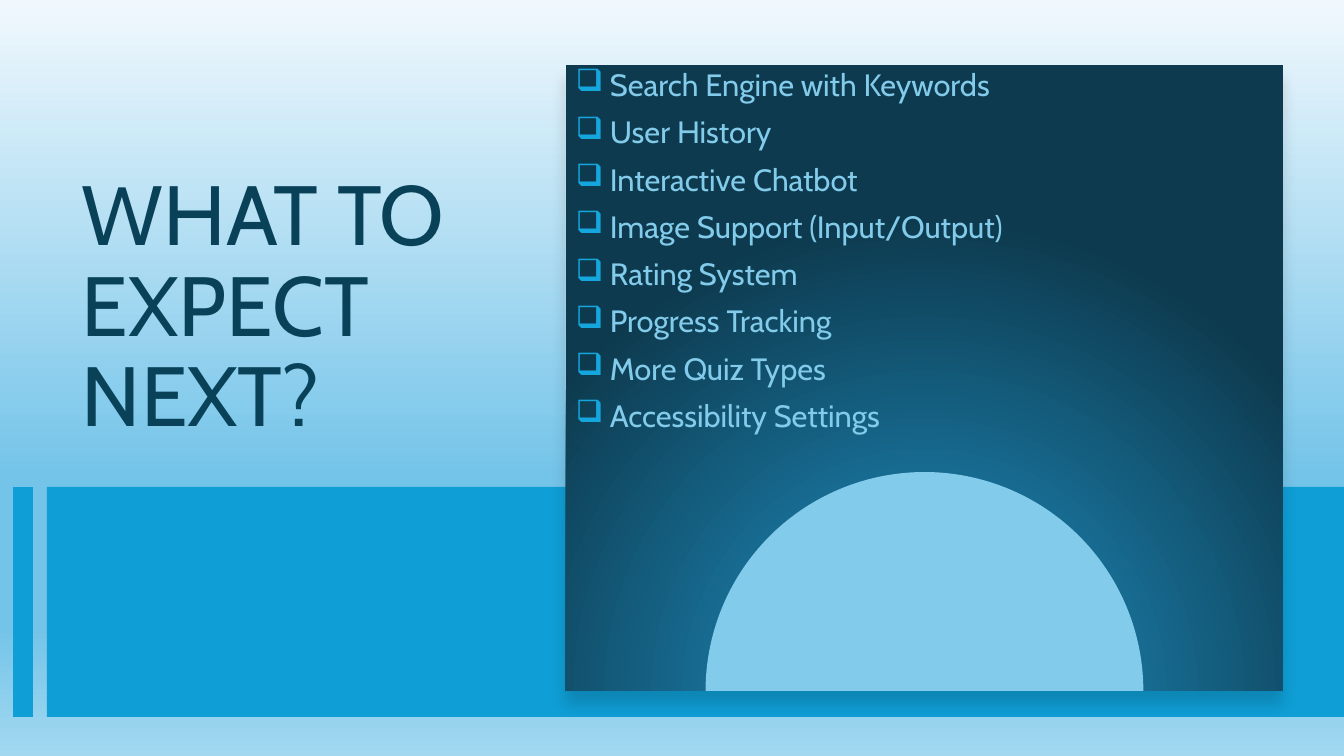
import lxml.etree
import pptx
import pptx.dml.color
import pptx.enum.shapes
import pptx.enum.text
import pptx.oxml
import pptx.oxml.ns
import pptx.util

PX = 12192000 / 1344
FONT = "Cabin"
COLORS = {
    "band": "0F9ED5",
    "title": "084158",
    "item": "83CBEB",
    "checkbox": "15A6DE",
    "panel_base": "FFFFFF",
    "shadow": "000000",
}
SKY = [(0, "F0F8FD"), (63, "74C4E9"), (83, "74C4E9"), (100, "A2D8F0")]
GLOW = [(46, "83CBEB"), (46, "176B91"), (100, "0D3A4E")]
FEATURES = [
    "Search Engine with Keywords",
    "User History",
    "Interactive Chatbot",
    "Image Support (Input/Output)",
    "Rating System",
    "Progress Tracking",
    "More Quiz Types",
    "Accessibility Settings",
]
NS = pptx.oxml.ns.nsdecls("a")
RECTANGLE = pptx.enum.shapes.MSO_SHAPE.RECTANGLE


def px(*lengths):
    return [round(length * PX) for length in lengths]


def set_gradient(fill, owner, stops, direction):
    fill.gradient()
    gradient = owner.find(".//" + pptx.oxml.ns.qn("a:gradFill"))
    stop_xml = "".join(
        f'<a:gs pos="{position * 1000}"><a:srgbClr val="{color}"/></a:gs>'
        for position, color in stops
    )
    gradient.getparent().replace(gradient, pptx.oxml.parse_xml(
        f'<a:gradFill {NS} rotWithShape="1"><a:gsLst>{stop_xml}</a:gsLst>{direction}</a:gradFill>'
    ))


rgb = {name: pptx.dml.color.RGBColor.from_string(value) for name, value in COLORS.items()}

deck = pptx.Presentation()
deck.slide_width, deck.slide_height = px(1344, 756)
slide = deck.slides.add_slide(deck.slide_layouts[6])
set_gradient(slide.background.fill, slide.background._cSld, SKY, '<a:lin ang="5400000" scaled="0"/>')

title = slide.shapes.add_textbox(*px(72, 161, 418, 296))
title.text_frame.word_wrap = True
title.text_frame.vertical_anchor = pptx.enum.text.MSO_ANCHOR.MIDDLE
heading = title.text_frame.paragraphs[0]
heading.line_spacing = 0.9
heading_run = heading.add_run()
heading_run.text = "WHAT TO EXPECT NEXT?"
heading_run.font.name = FONT
heading_run.font.size = pptx.util.Pt(60)
heading_run.font.color.rgb = rgb["title"]

band = slide.shapes.add_shape(RECTANGLE, *px(47, 487, 1297, 230))
band.shadow.inherit = False
band.fill.solid()
band.fill.fore_color.rgb = rgb["band"]
band.line.fill.background()

stripe = slide.shapes.add_connector(
    pptx.enum.shapes.MSO_CONNECTOR.STRAIGHT, *px(23, 487, 23, 717)
)
stripe.line.color.rgb = rgb["band"]
stripe.line.width = pptx.util.Pt(14)
lxml.etree.SubElement(stripe._element.spPr, pptx.oxml.ns.qn("a:effectLst"))

panel_base, panel = [
    slide.shapes.add_shape(RECTANGLE, *px(566, 65, 717, 626)) for layer in range(2)
]
for layer in (panel_base, panel):
    layer.shadow.inherit = False
    layer.line.fill.background()

panel_base.fill.solid()
panel_base.fill.fore_color.rgb = rgb["panel_base"]
panel_base._element.spPr.find(pptx.oxml.ns.qn("a:effectLst")).append(pptx.oxml.parse_xml(
    f'<a:outerShdw {NS} blurRad="{pptx.util.Pt(11)}" dist="{pptx.util.Pt(10)}" dir="5400000" '
    f'algn="t" rotWithShape="0"><a:srgbClr val="{COLORS["shadow"]}">'
    '<a:alpha val="15000"/></a:srgbClr></a:outerShdw>'
))

set_gradient(
    panel.fill, panel._element.spPr, GLOW,
    '<a:path path="circle"><a:fillToRect l="50000" t="130000" r="50000" b="-30000"/></a:path>',
)
features = panel.text_frame
features.word_wrap = True
features.vertical_anchor = pptx.enum.text.MSO_ANCHOR.TOP
indent = px(34)[0]
for index, feature in enumerate(FEATURES):
    item = features.add_paragraph() if index else features.paragraphs[0]
    item.alignment = pptx.enum.text.PP_ALIGN.LEFT
    item.line_spacing = 0.9
    item.space_before = pptx.util.Pt(10)
    properties = item._p.get_or_add_pPr()
    properties.set("marL", str(indent))
    properties.set("indent", str(-indent))
    for bullet in (
        f'<a:buClr {NS}><a:srgbClr val="{COLORS["checkbox"]}"/></a:buClr>',
        f'<a:buChar {NS} char="❑"/>',
    ):
        properties.append(pptx.oxml.parse_xml(bullet))
    run = item.add_run()
    run.text = feature
    run.font.name = FONT
    run.font.size = pptx.util.Pt(22)
    run.font.color.rgb = rgb["item"]

deck.save("out.pptx")
